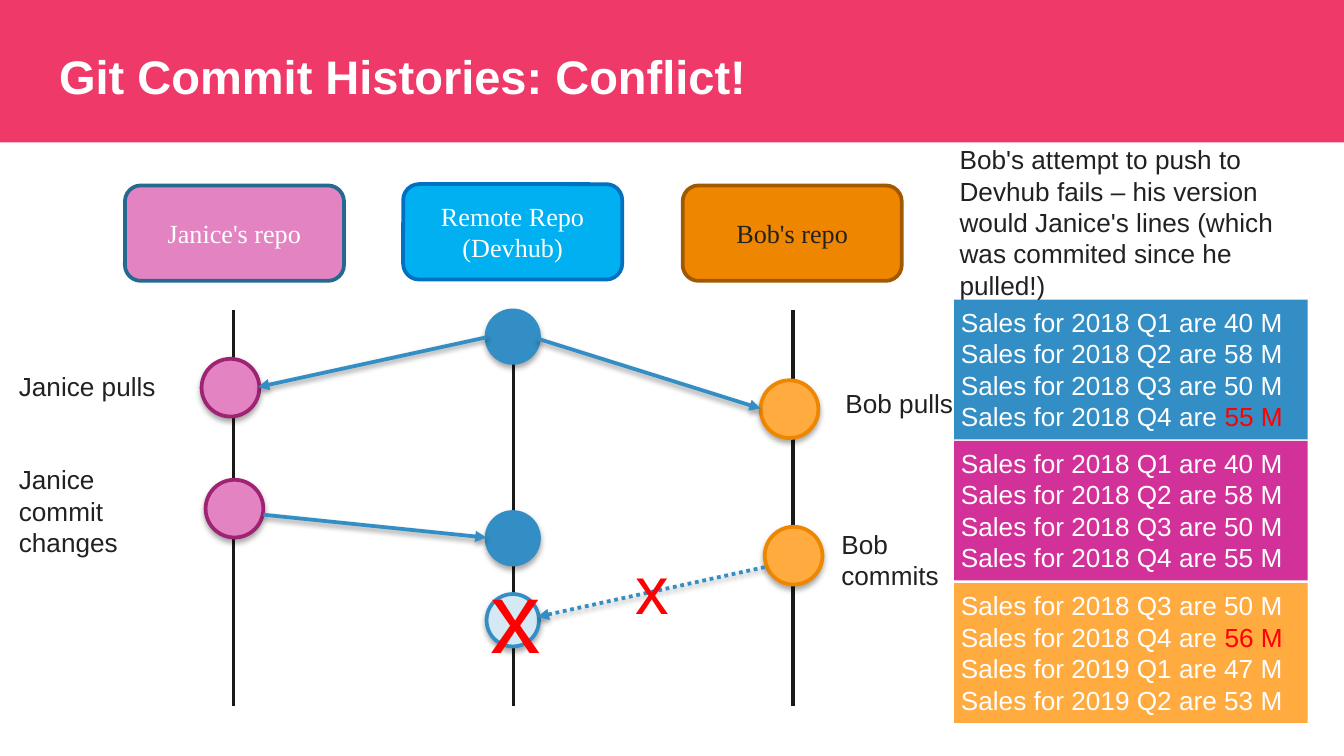
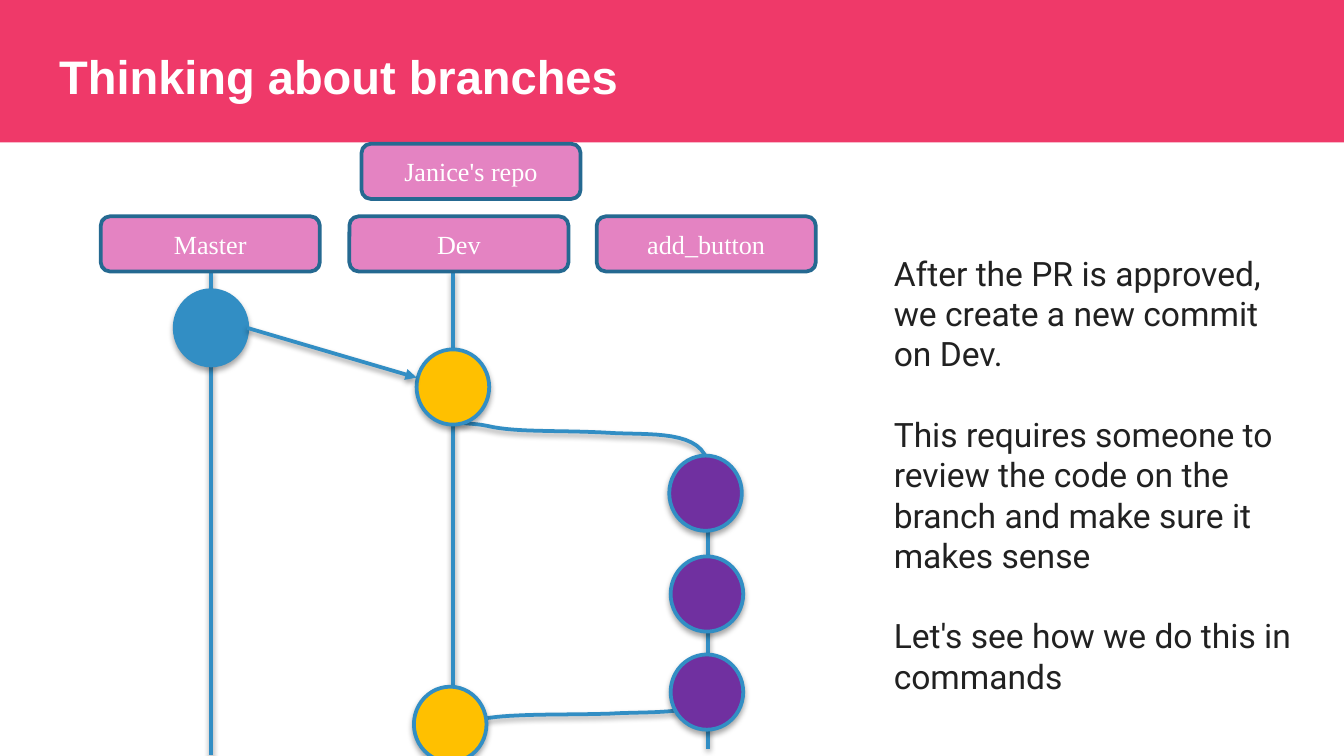
from dataclasses import dataclass

from lxml.etree import SubElement
from pptx import Presentation
from pptx.dml.color import RGBColor
from pptx.enum.dml import MSO_LINE
from pptx.enum.shapes import MSO_CONNECTOR, MSO_SHAPE
from pptx.enum.text import MSO_ANCHOR, MSO_AUTO_SIZE, PP_ALIGN
from pptx.oxml.ns import qn
from pptx.util import Inches, Pt

# Shared palette and fonts
BAND, WHITE, INK, AXIS, RED = "EF3969", "FFFFFF", "212121", "191919", "FF0000"
BLUE, PALE_BLUE, SKY, SKY_EDGE = "328EC4", "D5E9F4", "00B0F0", "0070C0"
PINK, PINK_EDGE, MAGENTA, TEAL = "E483C2", "9F2373", "D23199", "256991"
ORANGE, AMBER, BROWN = "EF8600", "FFAB40", "A05900"
GOLD, PURPLE = "FFC000", "7030A0"
SANS, SERIF, ROBOTO = "Arial", "Times New Roman", "Roboto"

Point = tuple[float, float]


@dataclass(frozen=True)
class RepoBox:
    lines: tuple[str, ...]
    left: float
    top: float
    height: float
    fill: str = PINK
    edge: str = TEAL
    ink: str = WHITE


@dataclass(frozen=True)
class Commit:
    left: float
    top: float
    width: float
    height: float
    fill: str
    edge: str = BLUE


@dataclass(frozen=True)
class Link:
    start: Point
    end: Point
    color: str = BLUE
    weight: float = 2
    arrow: bool = False
    dotted: bool = False
    shadow: bool = True


@dataclass(frozen=True)
class Note:
    paragraphs: tuple[str, ...]
    left: float
    top: float
    width: float
    height: float
    size: float = 14
    ink: str = INK
    face: str = SANS
    fill: str = ""
    highlight: str = ""
    wrap: bool = True
    gap: float = 0


def rgb(color: str) -> RGBColor:
    return RGBColor.from_string(color)


def set_font(paragraph, face: str, size: float, color: str, bold: bool = False) -> None:
    font = paragraph.font
    font.name, font.size, font.bold = face, Pt(size), bold
    font.color.rgb = rgb(color)


def set_line(line, color: str, weight: float) -> None:
    line.color.rgb = rgb(color)
    line.width = Pt(weight)


def set_shadow(shape, distance: float = 1.8, alpha: int = 35) -> None:
    """Give the shape a soft shadow straight below; alpha 0 means none."""
    properties = shape._element.spPr
    effects = properties.find(qn("a:effectLst"))
    if effects is None:
        effects = SubElement(properties, qn("a:effectLst"))
    if alpha:
        outer = SubElement(effects, qn("a:outerShdw"), blurRad=str(Pt(3)),
                           dist=str(Pt(distance)), dir="5400000", rotWithShape="0")
        color = SubElement(outer, qn("a:srgbClr"), val="000000")
        SubElement(color, qn("a:alpha"), val=str(alpha * 1000))


def add_figure(slide, preset, left: float, top: float, width: float, height: float,
               fill: str, edge: str = ""):
    figure = slide.shapes.add_shape(
        preset, Inches(left), Inches(top), Inches(width), Inches(height))
    figure.shadow.inherit = False
    figure.fill.solid()
    figure.fill.fore_color.rgb = rgb(fill)
    if edge:
        set_line(figure.line, edge, 2)
    else:
        figure.line.fill.background()
    return figure


def add_repo(slide, repo: RepoBox) -> None:
    box = add_figure(slide, MSO_SHAPE.ROUNDED_RECTANGLE, repo.left, repo.top,
                     1.63, repo.height, repo.fill, repo.edge)
    frame = box.text_frame
    frame.vertical_anchor = MSO_ANCHOR.MIDDLE
    frame.text = "\n".join(repo.lines)
    for paragraph in frame.paragraphs:
        paragraph.alignment = PP_ALIGN.CENTER
        set_font(paragraph, SERIF, 14, repo.ink)


def add_commit(slide, commit: Commit) -> None:
    set_shadow(add_figure(slide, MSO_SHAPE.OVAL, commit.left, commit.top,
                          commit.width, commit.height, commit.fill, commit.edge))


def add_link(slide, link: Link) -> None:
    connector = slide.shapes.add_connector(
        MSO_CONNECTOR.STRAIGHT, *(Inches(value) for value in link.start + link.end))
    set_line(connector.line, link.color, link.weight)
    if link.dotted:
        connector.line.dash_style = MSO_LINE.ROUND_DOT
    if link.arrow:
        SubElement(connector.line._get_or_add_ln(), qn("a:tailEnd"), type="triangle")
    set_shadow(connector, 1.6, 38 if link.shadow else 0)


def bezier(controls: tuple[Point, ...], step: float) -> tuple[int, int]:
    rest = 1 - step
    weights = (rest**3, 3 * rest**2 * step, 3 * rest * step**2, step**3)
    return tuple(Inches(sum(weight * point[axis] for weight, point in zip(weights, controls)))
                 for axis in (0, 1))


def add_curve(slide, knots: tuple[Point, ...]) -> None:
    """Draw cubic curves: a start, then two controls and an end for each."""
    points = [bezier(knots[first:first + 4], step / 16)
              for first in range(0, len(knots) - 1, 3) for step in range(1, 17)]
    start_x, start_y = (Inches(value) for value in knots[0])
    builder = slide.shapes.build_freeform(start_x, start_y)
    builder.add_line_segments(points, close=False)
    curve = builder.convert_to_shape()
    curve.fill.background()
    set_line(curve.line, BLUE, 2)
    curve.shadow.inherit = False
    set_shadow(curve)


def add_note(slide, note: Note) -> None:
    box = slide.shapes.add_textbox(
        Inches(note.left), Inches(note.top), Inches(note.width), Inches(note.height))
    if note.fill:
        box.fill.solid()
        box.fill.fore_color.rgb = rgb(note.fill)
    frame = box.text_frame
    frame.word_wrap = note.wrap
    frame.auto_size = MSO_AUTO_SIZE.SHAPE_TO_FIT_TEXT
    frame.margin_left = frame.margin_right = Inches(0.05)
    frame.margin_top = frame.margin_bottom = Inches(0.05)
    for index, text in enumerate(note.paragraphs):
        paragraph = frame.add_paragraph() if index else frame.paragraphs[0]
        set_font(paragraph, note.face, note.size, note.ink)
        if index and note.gap:
            paragraph.space_before = Pt(note.gap)
        if note.highlight and text.endswith(note.highlight):
            paragraph.add_run().text = text.removesuffix(note.highlight)
            figure = paragraph.add_run()
            figure.text = note.highlight
            figure.font.color.rgb = rgb(RED)
        else:
            paragraph.add_run().text = text


def add_titled_slide(deck, text: str, title_width: float):
    slide = deck.slides.add_slide(deck.slide_layouts[5])
    title = slide.shapes.title
    title.left, title.top = Inches(0.34), Inches(0.25)
    title.width, title.height = Inches(title_width), Inches(0.63)
    frame = title.text_frame
    frame.text = text
    frame.word_wrap = True
    frame.auto_size = MSO_AUTO_SIZE.NONE
    frame.vertical_anchor = MSO_ANCHOR.MIDDLE
    frame.margin_left = frame.margin_right = Inches(0.1)
    frame.margin_top = frame.margin_bottom = Inches(0.1)
    frame.paragraphs[0].alignment = PP_ALIGN.LEFT
    set_font(frame.paragraphs[0], SANS, 25.2, WHITE, bold=True)
    return slide


def add_layout_band(slide) -> None:
    """Place the title band on the layout, behind every slide that uses it."""
    band = add_figure(slide, MSO_SHAPE.RECTANGLE, 0, 0, 10, 1.06, BAND)
    slide.slide_layout.shapes._spTree.insert(2, band._element)


def build_conflict(deck) -> None:
    slide = add_titled_slide(deck, "Git Commit Histories: Conflict!", 9.32)
    add_layout_band(slide)

    # Repositories and their timelines
    for lane in (1.74, 3.82, 5.9):
        add_link(slide, Link((lane, 2.31), (lane, 5.25), AXIS, 1.75, shadow=False))
    for repo in (
        RepoBox(("Janice's repo",), 0.93, 1.38, 0.71),
        RepoBox(("Remote Repo", "(Devhub)"), 3, 1.37, 0.71, SKY, SKY_EDGE),
        RepoBox(("Bob's repo",), 5.08, 1.38, 0.71, ORANGE, BROWN, INK),
    ):
        add_repo(slide, repo)

    # Commits: remote, Janice, Bob
    for top, fill in ((2.31, BLUE), (3.81, BLUE), (4.42, PALE_BLUE)):
        add_commit(slide, Commit(3.62, top, 0.39, 0.39, fill))
    for left, top, fill, edge in (
        (1.5, 2.67, PINK, PINK_EDGE), (1.53, 3.57, PINK, PINK_EDGE),
        (5.66, 2.83, AMBER, ORANGE), (5.69, 3.92, AMBER, ORANGE),
    ):
        add_commit(slide, Commit(left, top, 0.43, 0.43, fill, edge))

    # Pulls and pushes
    for start, end, rejected in (
        ((3.62, 2.51), (1.92, 2.88), False),
        ((4, 2.52), (5.66, 3.04), False),
        ((1.96, 3.83), (3.62, 4), False),
        ((5.69, 4.22), (4, 4.59), True),
    ):
        add_link(slide, Link(start, end, arrow=True, dotted=rejected))

    # Step labels and crosses on the rejected push
    for note in (
        Note(("Janice pulls",), 0.09, 2.71, 1.32, 0.34),
        Note(("Bob pulls",), 6.24, 2.83, 1.32, 0.34),
        Note(("Bob's attempt to push to Devhub fails – his version would Janice's lines "
              "(which was commited since he pulled!)",), 7.09, 1.02, 2.5, 1.28),
        Note(("Janice commit changes",), 0.09, 3.4, 1.32, 0.81),
        Note(("Bob commits",), 6.21, 3.88, 0.88, 0.57),
        Note(("x",), 4.68, 4.02, 0.35, 0.71, 36, RED, wrap=False),
        Note(("x",), 3.6, 4.06, 0.48, 1.01, 54, RED, wrap=False),
    ):
        add_note(slide, note)

    # File versions: remote, Janice, Bob
    shared_lines = ("Sales for 2018 Q1 are 40 M",
                    "Sales for 2018 Q2 are 58 M Sales for 2018 Q3 are 50 M",
                    "Sales for 2018 Q4 are 55 M")
    bob_lines = ("Sales for 2018 Q3 are 50 M", "Sales for 2018 Q4 are 56 M",
                 "Sales for 2019 Q1 are 47 M", "Sales for 2019 Q2 are 53 M")
    for top, lines, fill, highlight in (
        (2.23, shared_lines, BLUE, "55 M"),
        (3.28, shared_lines, MAGENTA, ""),
        (4.34, bob_lines, AMBER, "56 M"),
    ):
        add_note(slide, Note(lines, 7.1, top, 2.63, 1.04, ink=WHITE,
                             fill=fill, highlight=highlight))


def build_branches(deck) -> None:
    slide = add_titled_slide(deck, "Thinking about branches", 6.51)

    # Branch timelines, fork and merge
    for lane, top, bottom in ((1.57, 2.01, 5.62), (3.37, 2.02, 5.63), (5.27, 3.47, 5.57)):
        add_link(slide, Link((lane, top), (lane, bottom)))
    add_curve(slide, ((3.38, 2.85), (3.34, 3.23), (3.41, 3.12), (3.63, 3.17), (3.84, 3.22),
                      (4.2, 3.2), (4.52, 3.22), (4.83, 3.24), (5.24, 3.19), (5.27, 3.47)))
    add_curve(slide, ((3.4, 5.55), (3.36, 5.3), (3.43, 5.37), (3.65, 5.34), (3.87, 5.31),
                      (4.23, 5.32), (4.54, 5.31), (4.85, 5.29), (5.26, 5.33), (5.29, 5.14)))

    # Repository and branch names
    for name, left, top in (("Janice's repo", 2.69, 1.07), ("Master", 0.75, 1.61),
                            ("Dev", 2.6, 1.61), ("add_button", 4.44, 1.61)):
        add_repo(slide, RepoBox((name,), left, top, 0.41))

    # Commits on each branch
    for left, top, fill in (
        (1.3, 2.16, BLUE), (3.1, 2.6, GOLD), (3.08, 5.11, GOLD),
        (4.98, 3.39, PURPLE), (4.99, 4.14, PURPLE), (4.99, 4.87, PURPLE),
    ):
        add_commit(slide, Commit(left, top, 0.54, 0.56, fill))
    add_link(slide, Link((1.84, 2.44), (3.1, 2.81), arrow=True))

    # Explanation
    add_note(slide, Note((
        "After the PR is approved, we create a new commit on Dev.",
        "This requires someone to review the code on the branch and make sure it makes sense",
        "Let's see how we do this in commands",
    ), 6.6, 1.83, 3.12, 3.43, 18, face=ROBOTO, gap=21.6))


def main() -> None:
    deck = Presentation()
    # Widescreen, 16:9
    deck.slide_width = Inches(10)
    deck.slide_height = deck.slide_width * 9 // 16
    build_conflict(deck)
    build_branches(deck)
    deck.save("out.pptx")


if __name__ == "__main__":
    main()
